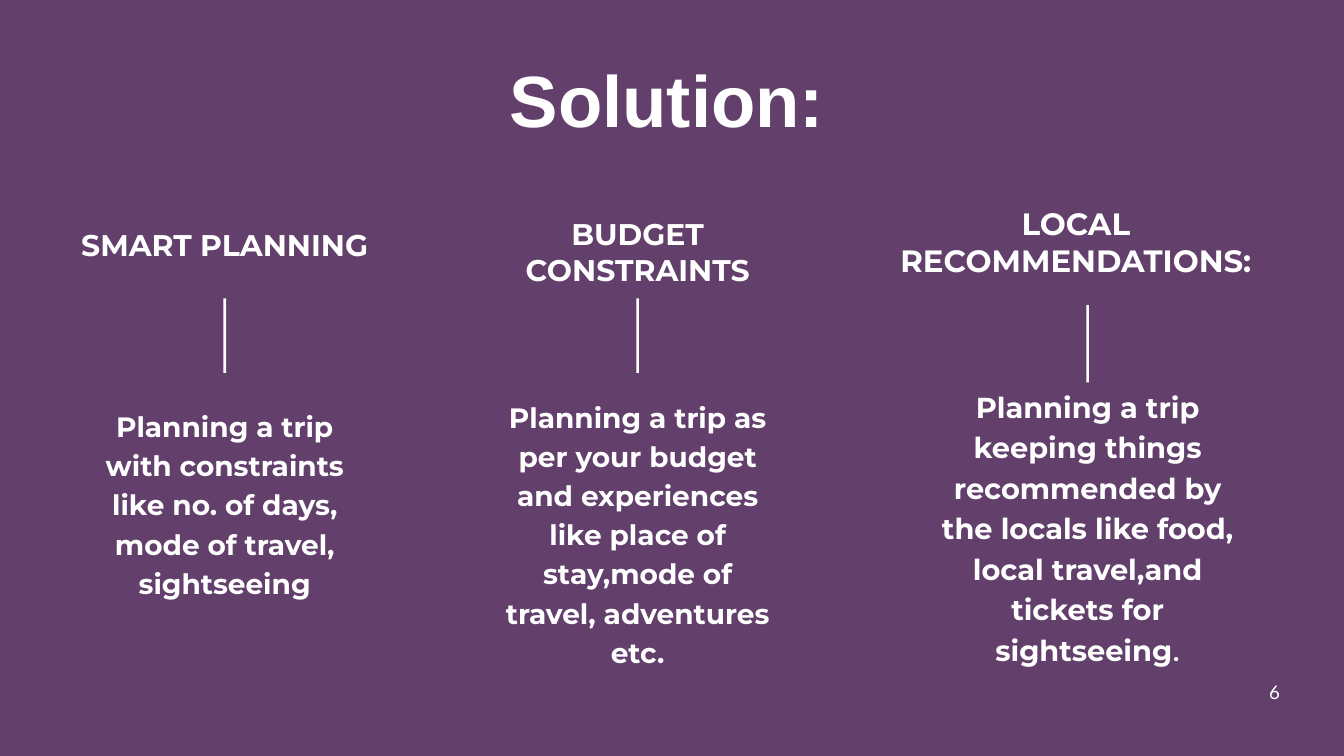
import pptx
import pptx.dml.color
import pptx.enum.shapes
import pptx.enum.text
import pptx.util

Pt = pptx.util.Pt
COLORS = {"background": "62406B", "foreground": "FFFFFF"}
RULE_WIDTH = 2.8

COLUMNS = [
    {
        "box": (54, 242.6, 373.7, 402.5),
        "heading": "SMART PLANNING", "heading_size": 32, "heading_height": 38.9,
        "rule": (319.7, 79.9), "detail_top": 432.7, "detail_width": 304.6,
        "detail": ["Planning a trip with constraints like no. of days, "
                   "mode of travel, sightseeing"],
        "detail_size": 30, "detail_spacing": 42, "shift": 0,
    },
    {
        "box": (496.4, 231.1, 373.7, 488.2),
        "heading": "BUDGET CONSTRAINTS", "heading_size": 32, "heading_height": 77.8,
        "rule": (319.7, 79.9), "detail_top": 422.6, "detail_width": 304.6,
        "detail": ["Planning a trip as per your budget and experiences like "
                   "place of stay,mode of travel, adventures etc."],
        "detail_size": 30, "detail_spacing": 42, "shift": 0,
    },
    {
        "box": (953.3, 218.9, 398.9, 499),
        "heading": "LOCAL RECOMMENDATIONS:", "heading_size": 33, "heading_height": 79.9,
        "rule": (326.9, 82.8), "detail_top": 411.1, "detail_width": 313.9,
        "detail": ["Planning a trip keeping things recommended by the locals like "
                   "food, local travel,and tickets for sightseeing", "."],
        "detail_size": 30.9, "detail_spacing": 43.4, "shift": 12.6,
    },
]


def rgb(name):
    return pptx.dml.color.RGBColor.from_string(COLORS[name])


def place(shape, box):
    shape.left, shape.top, shape.width, shape.height = (Pt(value) for value in box)


def format_text(shape, size, spacing, font, bold=True, wrap=True):
    frame = shape.text_frame
    frame.margin_left = frame.margin_top = frame.margin_right = frame.margin_bottom = 0
    frame.word_wrap = wrap
    frame.auto_size = pptx.enum.text.MSO_AUTO_SIZE.NONE
    frame.vertical_anchor = pptx.enum.text.MSO_ANCHOR.TOP
    paragraph = frame.paragraphs[0]
    paragraph.alignment = pptx.enum.text.PP_ALIGN.CENTER
    paragraph.line_spacing = Pt(spacing)
    paragraph.space_before = Pt(0)
    for run in paragraph.runs:
        run.font.name = font
        run.font.size = Pt(size)
        run.font.bold = bold
        run.font.color.rgb = rgb("foreground")


def add_label(slide, box, pieces, size, spacing, font="Montserrat", bold=True, wrap=True):
    label = slide.shapes.add_textbox(*(Pt(value) for value in box))
    for piece in pieces:
        label.text_frame.paragraphs[0].add_run().text = piece
    format_text(label, size, spacing, font, bold, wrap)
    return label


def add_title(slide, box):
    title = slide.shapes.title
    place(title, box)
    title.text_frame.text = "Solution:"
    format_text(title, 77.8, 78.4, "Arial")


def add_column(slide, box, column):
    left, top, width, height = box
    center = left + width / 2 + column["shift"]

    add_label(slide, (left, top, width, column["heading_height"]), [column["heading"]],
              column["heading_size"], column["heading_size"] * 1.2)

    rule_top, rule_height = column["rule"]
    rule = slide.shapes.add_shape(
        pptx.enum.shapes.MSO_SHAPE.RECTANGLE,
        Pt(center - RULE_WIDTH / 2), Pt(rule_top), Pt(RULE_WIDTH), Pt(rule_height))
    rule.shadow.inherit = False
    rule.fill.solid()
    rule.fill.fore_color.rgb = rgb("foreground")
    rule.line.fill.background()

    detail_width, detail_top = column["detail_width"], column["detail_top"]
    detail = add_label(
        slide,
        (center - detail_width / 2, detail_top, detail_width, top + height - detail_top),
        column["detail"], column["detail_size"], column["detail_spacing"])
    for ending in detail.text_frame.paragraphs[0].runs[1:]:
        ending.font.name = "Calibri"


def add_page_number(slide, box):
    add_label(slide, box, ["6"], 20, 28, "Lato", bold=False, wrap=False)


def main():
    deck = pptx.Presentation()
    deck.slide_width, deck.slide_height = Pt(1440), Pt(810)
    slide = deck.slides.add_slide(deck.slide_layouts.get_by_name("Title Only"))
    slide.background.fill.solid()
    slide.background.fill.fore_color.rgb = rgb("background")

    add_title(slide, (234, 73.4, 961.2, 79.2))
    for column in COLUMNS:
        add_column(slide, column["box"], column)
    add_page_number(slide, (1359.4, 725, 12.2, 15.8))
    deck.save("out.pptx")


if __name__ == "__main__":
    main()
